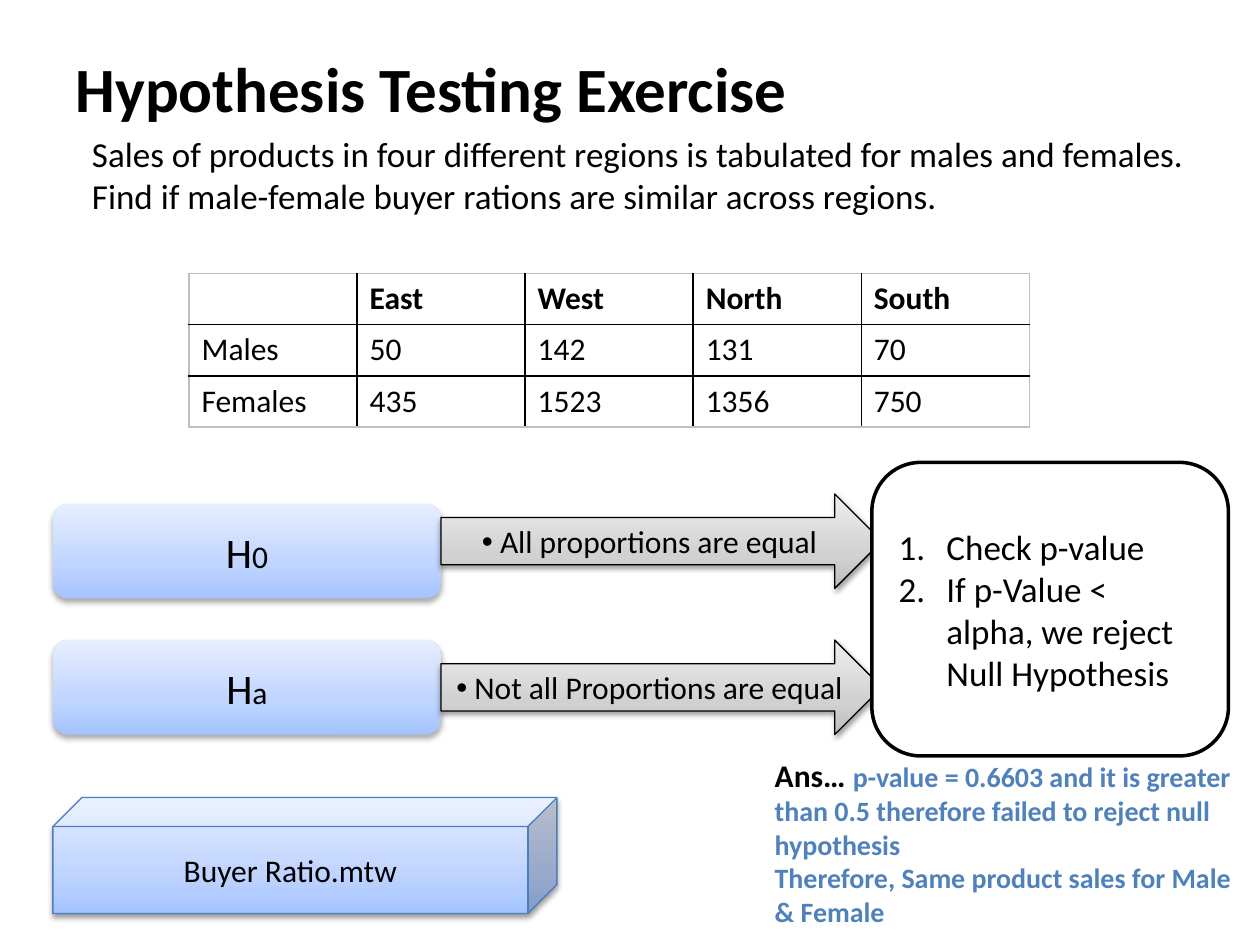
from lxml.etree import SubElement
from pptx import Presentation
from pptx.dml.color import RGBColor
from pptx.enum.shapes import MSO_SHAPE as SHAPE
from pptx.enum.text import MSO_ANCHOR as ANCHOR, MSO_AUTO_SIZE as AUTO, PP_ALIGN as ALIGN
from pptx.oxml.ns import qn
from pptx.util import Inches, Pt

BLACK = RGBColor(0x00, 0x00, 0x00)
WHITE = RGBColor(0xFF, 0xFF, 0xFF)
GRAY = RGBColor(0xBF, 0xBF, 0xBF)
ACCENT = RGBColor(0x4F, 0x81, 0xBD)
EDGE = RGBColor(0x4B, 0x7E, 0xBC)
BLUES = [RGBColor(0xA4, 0xC4, 0xFF), RGBColor(0xBF, 0xD4, 0xFF), RGBColor(0xE6, 0xEE, 0xFF)]
GRAYS = [RGBColor(0xBD, 0xBD, 0xBD), RGBColor(0xD1, 0xD1, 0xD1), RGBColor(0xEE, 0xEE, 0xEE)]
STOPS = [0, 35, 100]
SOFT = (32, 3.5, 2.2)
TIGHT = (38, 3.1, 1.6)


def add_xml(parent, tag, **attrs):
    """Append a DrawingML element and return it."""
    return SubElement(parent, qn(tag), {k: str(v) for k, v in attrs.items()})


def add_color(parent, color):
    """Append an RGB colour element and return it."""
    return add_xml(parent, "a:srgbClr", val=color)


def set_font(font, size, color=BLACK, bold=False):
    """Apply the slide's typeface with a size, colour and weight."""
    font.name, font.size, font.bold = "Calibri", Pt(size), bold
    font.color.rgb = color


def set_list(p, indent=0, bullet=None, numbered=False):
    """Give a paragraph a hanging indent and its marker."""
    pPr = p._p.get_or_add_pPr()
    pPr.set("marL", str(Inches(indent)))
    pPr.set("indent", str(-Inches(indent) if bullet or numbered else 0))
    if numbered:
        add_xml(pPr, "a:buFont", typeface="+mj-lt")
        add_xml(pPr, "a:buAutoNum", type="arabicPeriod")
    elif bullet:
        add_xml(pPr, "a:buFont", typeface="Arial")
        add_xml(pPr, "a:buChar", char=bullet)
    else:
        add_xml(pPr, "a:buNone")


class Deck:
    """Holds the style and the current slide."""

    def __init__(self, prs):
        """Start a title-and-content slide."""
        self.s = prs.slides.add_slide(prs.slide_layouts[1])

    def place(self, sp, x, y, w, h):
        """Move and size a placeholder."""
        sp.left, sp.top, sp.width, sp.height = map(Inches, (x, y, w, h))
        return sp.text_frame

    def title(self, text, *box):
        """Fill the title placeholder."""
        tf = self.place(self.s.shapes.title, *box)
        tf.text, tf.vertical_anchor = text, ANCHOR.MIDDLE
        p = tf.paragraphs[0]
        p.alignment = ALIGN.LEFT
        set_font(p.font, 36, bold=True)

    def body(self, text, *box):
        """Fill the body placeholder with an indented paragraph."""
        tf = self.place(self.s.placeholders[1], *box)
        tf.text = text
        p = tf.paragraphs[0]
        p.space_before = Pt(4)
        set_list(p, 0.38)
        set_font(p.font, 20)

    def shape(self, kind, *box, fill=WHITE, line=None, width=0.75, shadow=None):
        """Add a preset shape and return its text frame."""
        sp = self.s.shapes.add_shape(kind, *map(Inches, box))
        if isinstance(fill, list):
            self.gradient(sp, fill)
        else:
            sp.fill.solid()
            sp.fill.fore_color.rgb = fill
        if line is None:
            sp.line.fill.background()
        else:
            sp.line.color.rgb, sp.line.width = line, Pt(width)
        sp.shadow.inherit = False
        if shadow:
            self.shadow(sp, *shadow)
        sp.text_frame.vertical_anchor = ANCHOR.MIDDLE
        return sp.text_frame

    def gradient(self, sp, colors):
        """Fill a shape with a gradient running upwards."""
        sp.fill.gradient()
        sp.fill.gradient_angle = 90
        stops = sp._element.spPr.find(".//" + qn("a:gsLst"))
        for gs in list(stops):
            stops.remove(gs)
        for pos, color in zip(STOPS, colors):
            add_color(add_xml(stops, "a:gs", pos=pos * 1000), color)

    def shadow(self, sp, alpha, blur, dist):
        """Add a black shadow below a shape."""
        effects = sp._element.spPr.find(qn("a:effectLst"))
        outer = add_xml(effects, "a:outerShdw", blurRad=Pt(blur), dist=Pt(dist),
                        dir=90 * 60000, rotWithShape=0)
        add_xml(add_color(outer, BLACK), "a:alpha", val=alpha * 1000)

    def label(self, tf, *runs, bullet=None):
        """Write one centred line from (text, size) runs."""
        p = tf.paragraphs[0]
        p.alignment = ALIGN.CENTER
        if bullet:
            set_list(p, bullet=bullet)
        for text, size in runs:
            r = p.add_run()
            r.text = text
            set_font(r.font, size)

    def steps(self, tf, items):
        """Write a numbered list."""
        tf.text = "\n".join(items)
        for p in tf.paragraphs:
            p.alignment = ALIGN.LEFT
            set_list(p, 0.38, numbered=True)
            set_font(p.font, 20)

    def table(self, rows, x, y, w, h):
        """Add a ruled table with a bold header row."""
        n, m = len(rows), len(rows[0])
        t = self.s.shapes.add_table(n, m, *map(Inches, (x, y, w, h))).table
        t.first_row = t.horz_banding = False
        for i, row in enumerate(rows):
            for j, text in enumerate(row):
                cell = t.cell(i, j)
                cell.text = text
                set_font(cell.text_frame.paragraphs[0].font, 18, bold=i == 0)
                outer = {"L": j == 0, "R": j == m - 1, "T": i == 0, "B": i == n - 1}
                self.borders(cell, outer)
                cell.fill.background()

    def borders(self, cell, outer):
        """Rule a cell: gray on the table's outside, black inside."""
        tcPr = cell._tc.get_or_add_tcPr()
        for side, is_outer in outer.items():
            ln = add_xml(tcPr, "a:ln" + side, w=Pt(1))
            add_color(add_xml(ln, "a:solidFill"), GRAY if is_outer else BLACK)

    def answer(self, lead, lines, *box):
        """Add the answer text box with a black lead-in."""
        tf = self.s.shapes.add_textbox(*map(Inches, box)).text_frame
        tf.word_wrap, tf.auto_size = True, AUTO.SHAPE_TO_FIT_TEXT
        for i, text in enumerate(lines):
            p = tf.add_paragraph() if i else tf.paragraphs[0]
            if i == 0:
                r = p.add_run()
                r.text = lead
                set_font(r.font, 18, bold=True)
            r = p.add_run()
            r.text = text
            set_font(r.font, 16, ACCENT, True)


def main():
    """Build the slide and save it."""
    prs = Presentation()
    prs.slide_width, prs.slide_height = Inches(10), Inches(7.5)
    deck = Deck(prs)
    deck.title("Hypothesis Testing Exercise", 0.5, 0.3, 9, 0.78)
    deck.body("Sales of products in four different regions is tabulated for males and "
              "females. Find if male-female buyer rations are similar across regions.",
              0.25, 1, 9.58, 6.36)
    deck.table([["", "East", "West", "North", "South"],
                ["Males", "50", "142", "131", "70"],
                ["Females", "435", "1523", "1356", "750"]], 1.5, 2.17, 6.67, 1.22)
    for mark, y in (("0", 4), ("a", 5.08)):
        tf = deck.shape(SHAPE.ROUNDED_RECTANGLE, 0.42, y, 3.08, 0.75, fill=BLUES, shadow=SOFT)
        deck.label(tf, ("H", 24), (mark, 18))
    for text, y in ((" All proportions are equal", 3.92),
                    (" Not all Proportions are equal", 5.08)):
        tf = deck.shape(SHAPE.RIGHT_ARROW, 3.5, y, 3.5, 0.75,
                        fill=GRAYS, line=BLACK, shadow=TIGHT)
        deck.label(tf, (text, 18), bullet="•")
    tf = deck.shape(SHAPE.ROUNDED_RECTANGLE, 6.92, 3.67, 2.83, 2.33, line=BLACK, width=2)
    deck.steps(tf, ["Check p-value", "If p-Value < alpha, we reject Null Hypothesis"])
    tf = deck.shape(SHAPE.CUBE, 0.42, 6.33, 4, 0.92, fill=BLUES, line=EDGE, shadow=TIGHT)
    deck.label(tf, ("Buyer Ratio.mtw", 18))
    deck.answer("Ans… ", ["p-value = 0.6603 and it is greater than 0.5 therefore failed to "
                          "reject null hypothesis",
                          "Therefore, Same product sales for Male & Female"],
                6.05, 5.95, 3.92, 1.48)
    prs.save("out.pptx")


main()
